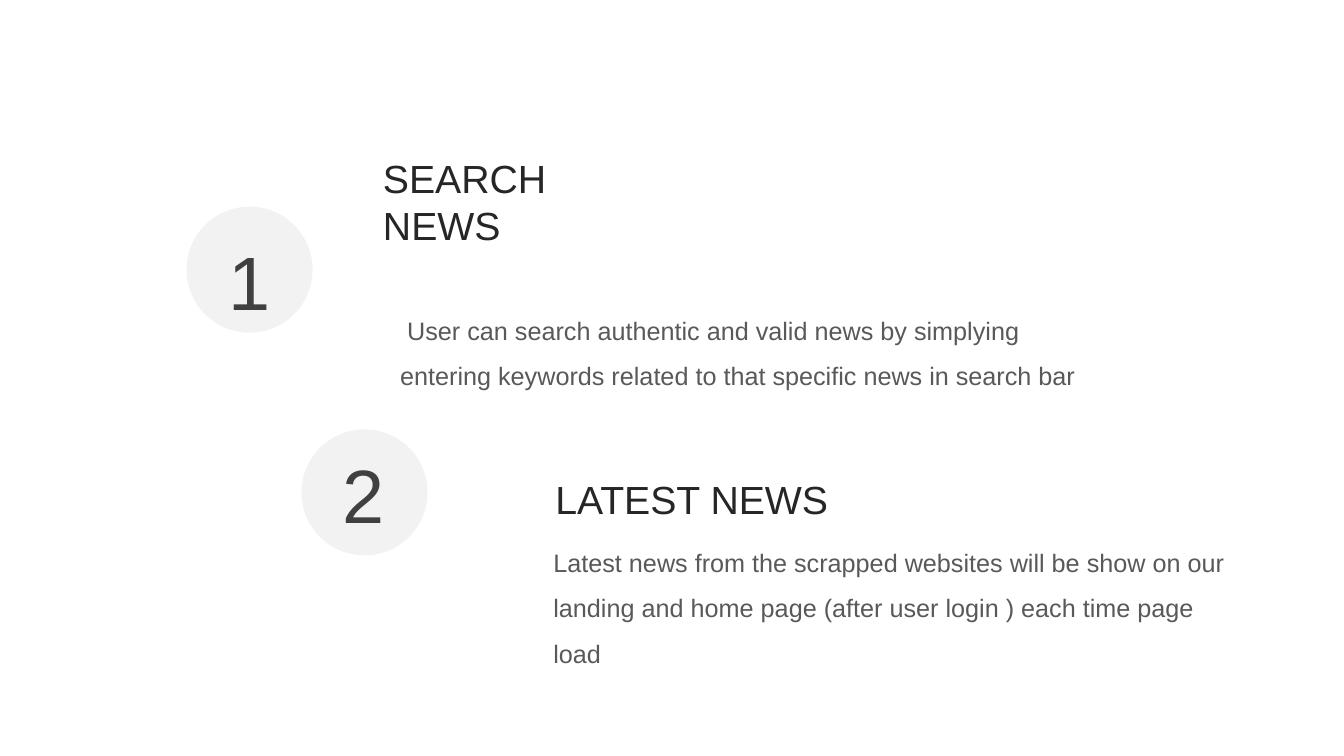
from pptx import Presentation
from pptx.dml.color import RGBColor
from pptx.enum.shapes import MSO_SHAPE
from pptx.enum.text import MSO_AUTO_SIZE, PP_ALIGN
from pptx.util import Emu, Pt

PX = 9144  # 100 px to the inch
DISC_SIZE = 125
NUMBER_WIDTH, NUMBER_HEIGHT = 396, 130

DISC_GREY = RGBColor(0xF2, 0xF2, 0xF2)
NUMBER_GREY = RGBColor(0x40, 0x40, 0x40)
HEADING_GREY = RGBColor(0x26, 0x26, 0x26)
BODY_GREY = RGBColor(0x59, 0x59, 0x59)

# disc (left, top), number top, heading box, description box, first-line indent
FEATURES = [
    ("1", (185, 205), 183,
     "SEARCH NEWS", (370, 148, 295, 104),
     "User can search authentic and valid news by simplying entering keywords "
     "related to that specific news in search bar", (387, 293, 696, 101), 7),
    ("2", (299, 426), 394,
     "LATEST NEWS", (541, 467, 295, 57),
     "Latest news from the scrapped websites will be show on our landing and "
     "home page (after user login ) each time page load", (539, 523, 704, 146), 0),
]


def px(*lengths):
    return [Emu(length * PX) for length in lengths]


def add_text(shapes, box, text, size, color, spacing=None, align=PP_ALIGN.LEFT):
    frame = shapes.add_textbox(*px(*box)).text_frame
    frame.word_wrap = True
    frame.auto_size = MSO_AUTO_SIZE.SHAPE_TO_FIT_TEXT
    paragraph = frame.paragraphs[0]
    paragraph.text = text
    paragraph.alignment = align
    paragraph.line_spacing = spacing
    paragraph.font.name = "Arial"
    paragraph.font.size = Pt(size)
    paragraph.font.color.rgb = color
    return paragraph


def add_numbered_disc(shapes, left, top, number, number_top):
    disc = shapes.add_shape(MSO_SHAPE.OVAL, *px(left, top, DISC_SIZE, DISC_SIZE))
    disc.shadow.inherit = False
    disc.fill.solid()
    disc.fill.fore_color.rgb = DISC_GREY
    disc.line.fill.background()
    number_left = left + (DISC_SIZE - NUMBER_WIDTH) // 2
    add_text(shapes, (number_left, number_top, NUMBER_WIDTH, NUMBER_HEIGHT),
             number, 54, NUMBER_GREY, 1.5, PP_ALIGN.CENTER)


def add_feature_text(shapes, heading, heading_box, description, description_box, indent):
    group = shapes.add_group_shape()
    add_text(group.shapes, heading_box, heading, 28, HEADING_GREY)
    paragraph = add_text(group.shapes, description_box, description, 18, BODY_GREY, 1.5)
    if indent:
        paragraph._p.get_or_add_pPr().set("indent", str(indent * PX))


def main():
    presentation = Presentation()
    presentation.slide_width, presentation.slide_height = px(1333, 750)
    shapes = presentation.slides.add_slide(presentation.slide_layouts[6]).shapes
    for number, disc_corner, number_top, *feature_text in FEATURES:
        add_numbered_disc(shapes, *disc_corner, number, number_top)
        add_feature_text(shapes, *feature_text)
    presentation.save("out.pptx")


if __name__ == "__main__":
    main()
